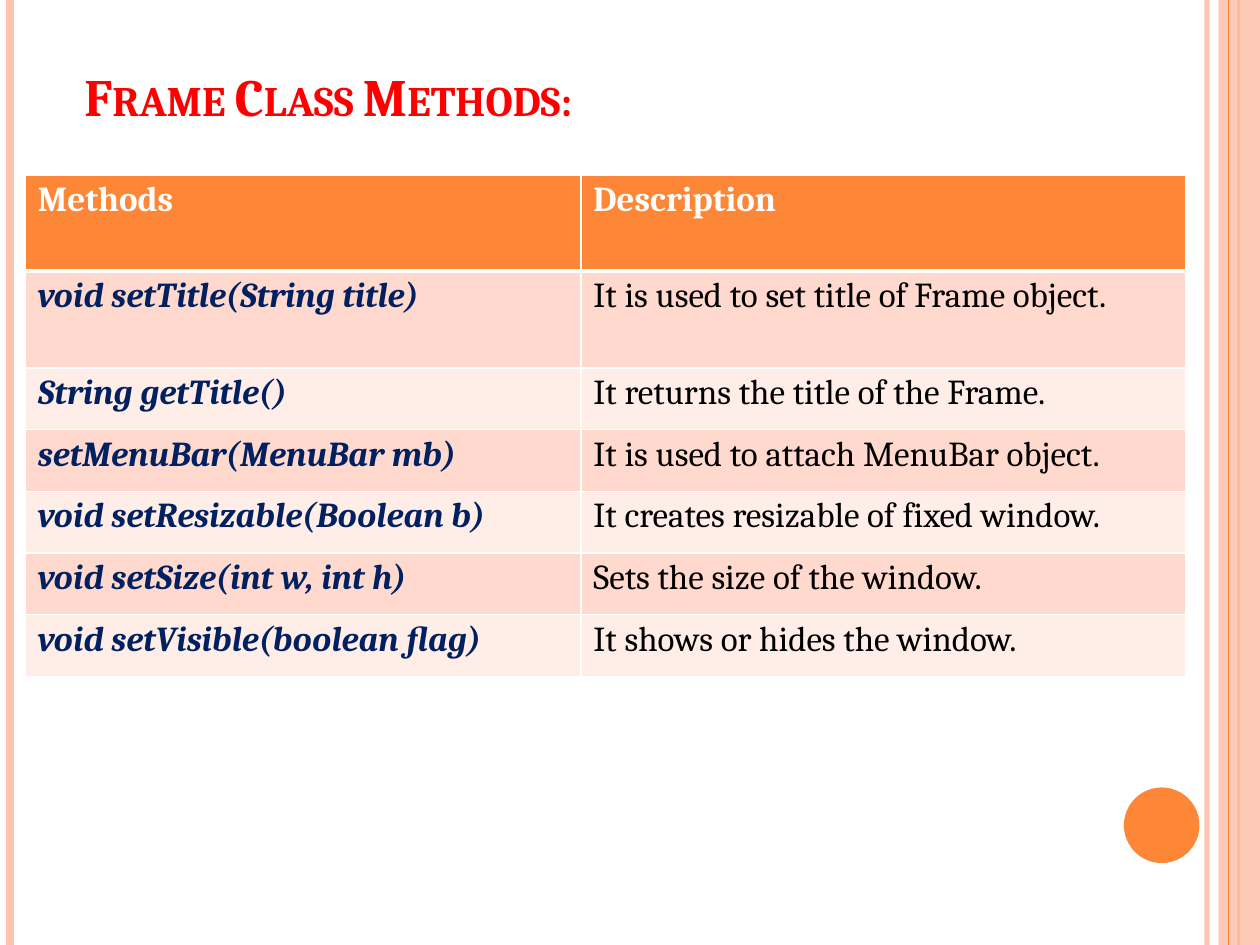
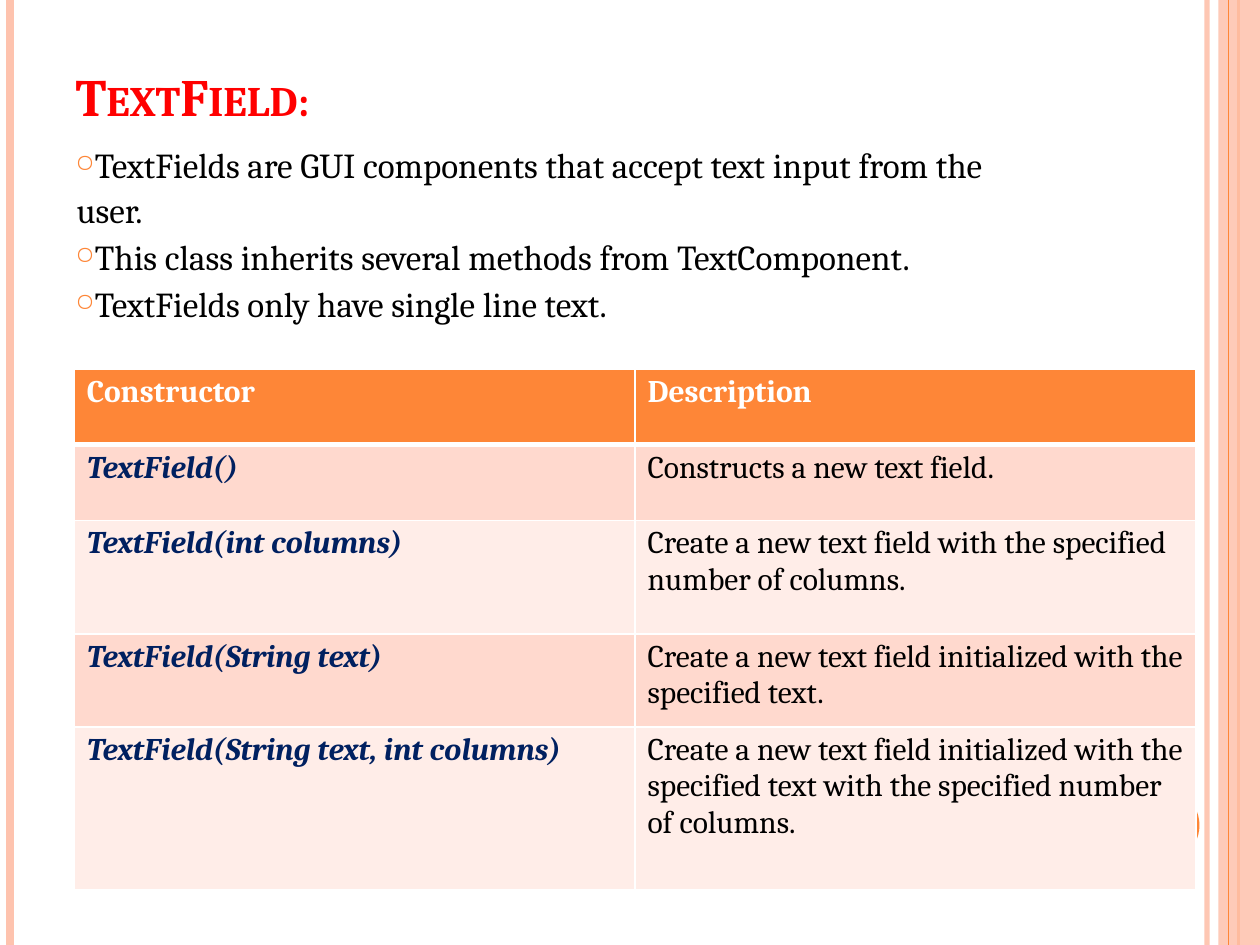
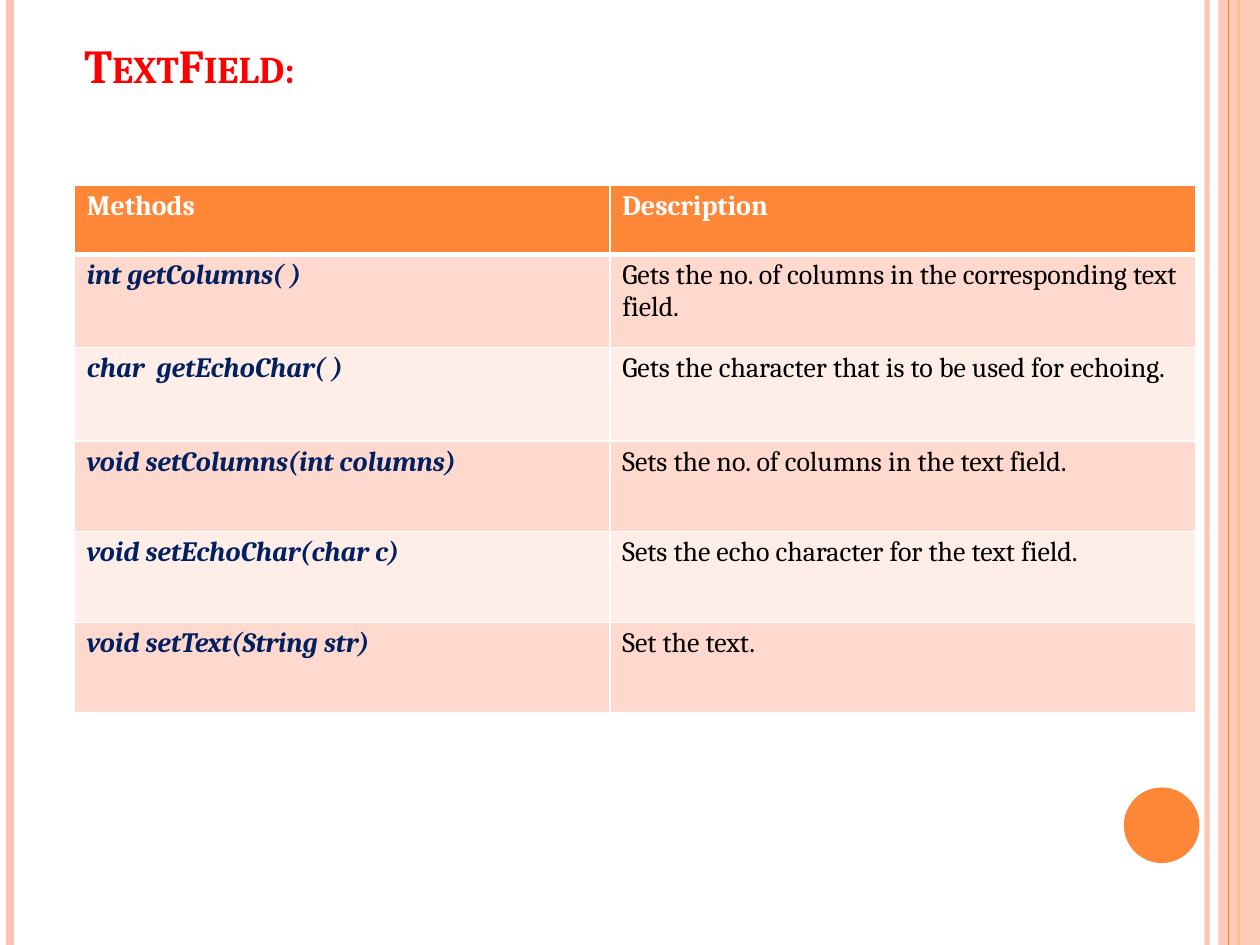
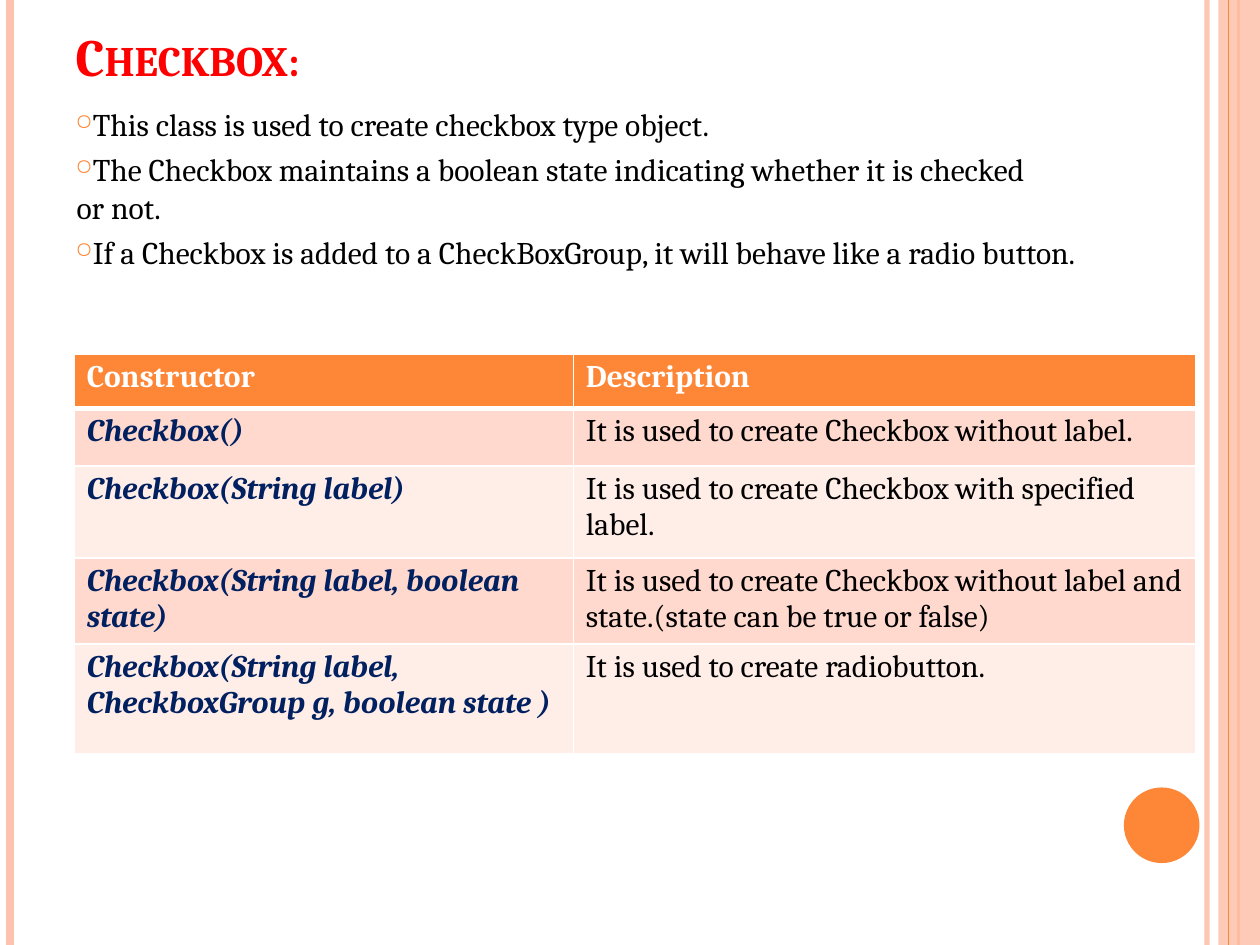
from lxml.etree import SubElement
from pptx import Presentation
from pptx.dml.color import RGBColor
from pptx.enum.shapes import MSO_CONNECTOR as CONNECTOR, MSO_SHAPE as SHAPE
from pptx.enum.text import MSO_ANCHOR as ANCHOR, MSO_AUTO_SIZE as AUTO_SIZE, PP_ALIGN as ALIGN
from pptx.oxml import parse_xml
from pptx.oxml.ns import nsdecls, qn
from pptx.util import Inches, Pt

ORANGE = RGBColor(0xFE, 0x86, 0x37)
PEACH = RGBColor(0xFE, 0xC3, 0xAE)
BAND_DARK = RGBColor(0xFF, 0xD9, 0xCE)
BAND_LIGHT = RGBColor(0xFF, 0xED, 0xE8)
NAVY = RGBColor(0x00, 0x20, 0x60)
RED = RGBColor(0xFF, 0x00, 0x00)
BLACK = RGBColor(0x00, 0x00, 0x00)
WHITE = RGBColor(0xFF, 0xFF, 0xFF)
FONT = "Cambria"
SLIDE_WIDTH, SLIDE_HEIGHT = 10, 7.5


def style_font(font, size, color, bold=False, italic=False):
    font.name = FONT
    font.size = Pt(size)
    font.color.rgb = color
    font.bold = bold
    font.italic = italic


def set_opacity(shape, percent):
    color = next(shape.element.spPr.iter(qn("a:srgbClr")))
    SubElement(color, qn("a:alpha"), val=str(percent * 1000))


def add_stripe(slide, x, color, width):
    stripe = slide.shapes.add_connector(
        CONNECTOR.STRAIGHT, Inches(x), 0, Inches(x), Inches(SLIDE_HEIGHT))
    stripe.line.color.rgb = color
    stripe.line.width = Pt(width)
    SubElement(stripe.element.spPr, qn("a:effectLst"))
    return stripe


def add_plain_shape(slide, kind, box, color):
    shape = slide.shapes.add_shape(kind, *map(Inches, box))
    shape.shadow.inherit = False
    shape.fill.solid()
    shape.fill.fore_color.rgb = color
    shape.line.fill.background()
    return shape


def decorate_layout(layout, slide):
    for placeholder in list(layout.placeholders):
        if placeholder.placeholder_format.idx != 0:
            layout.shapes.element.remove(placeholder.element)
    inner_stripe = add_stripe(slide, 9.58, PEACH, 3)
    set_opacity(inner_stripe, 93)
    left_stripe = add_stripe(slide, 0.08, PEACH, 4.5)
    band_stripe = add_stripe(slide, 9.75, ORANGE, 1.5)
    band_stripe.left = Inches(9.83)
    side_band = add_plain_shape(slide, SHAPE.RECTANGLE, (9.67, 0, 0.33, SLIDE_HEIGHT), PEACH)
    set_opacity(side_band, 87)
    thin_stripe = add_stripe(slide, 9.75, ORANGE, 0.75)
    number_disc = add_plain_shape(slide, SHAPE.OVAL, (8.92, 6.25, 0.6, 0.6), ORANGE)
    for shape in (inner_stripe, left_stripe, band_stripe, side_band, thin_stripe, number_disc):
        layout.shapes.element.append(shape.element)


def place_title(slide, text, box, size=30, left_inset=0.1):
    title = slide.shapes.title
    title.left, title.top, title.width, title.height = map(Inches, box)
    frame = title.text_frame
    frame.text = text
    frame.word_wrap = True
    frame.auto_size = AUTO_SIZE.NONE
    frame.vertical_anchor = ANCHOR.BOTTOM
    frame.margin_left = Inches(left_inset)
    frame.margin_bottom = Inches(round(0.05 + 1.17 * size / 72, 2))
    paragraph = frame.paragraphs[0]
    paragraph.alignment = ALIGN.LEFT
    style_font(paragraph.font, size, RED, bold=True)
    paragraph.font._element.set("cap", "small")


def add_bullet(paragraph, right_indent):
    properties = paragraph._p.get_or_add_pPr()
    properties.set("marL", str(Inches(0.01)))
    properties.set("marR", str(Inches(right_indent)))
    properties.set("indent", str(Inches(-0.3)))
    color = SubElement(properties, qn("a:buClr"))
    SubElement(color, qn("a:srgbClr"), val=str(ORANGE))
    SubElement(properties, qn("a:buSzPct"), val="70000")
    SubElement(properties, qn("a:buChar"), char="○")


def add_bullets(slide, box, items, size, space_before, later_spacing=1.07):
    frame = slide.shapes.add_textbox(*map(Inches, box)).text_frame
    frame.word_wrap = True
    for index, (text, right_indent) in enumerate(items):
        paragraph = frame.add_paragraph() if index else frame.paragraphs[0]
        paragraph.text = text
        add_bullet(paragraph, right_indent)
        paragraph.line_spacing = later_spacing if index else 1.07
        if index:
            paragraph.space_before = Pt(space_before)
        style_font(paragraph.font, size, BLACK)


def set_borders(cell, top, bottom):
    properties = cell._tc.get_or_add_tcPr()
    sides = (("lnL", 1), ("lnR", 1), ("lnT", top), ("lnB", bottom))
    for position, (side, width) in enumerate(sides):
        properties.insert(position, parse_xml(
            f'<a:{side} {nsdecls("a")} w="{Pt(width)}"><a:solidFill>'
            f'<a:srgbClr val="{WHITE}"/></a:solidFill></a:{side}>'))


def fill_cell(cell, text, row, column, size):
    cell.text = text
    cell.margin_top = cell.margin_bottom = Inches(0.04)
    cell.fill.solid()
    font = cell.text_frame.paragraphs[0].font
    if row == 0:
        cell.fill.fore_color.rgb = ORANGE
        style_font(font, size, WHITE, bold=True)
    else:
        cell.fill.fore_color.rgb = BAND_DARK if row % 2 else BAND_LIGHT
        is_code = column == 0
        style_font(font, size, NAVY if is_code else BLACK, is_code, is_code)
    set_borders(cell, 3 if row == 1 else 1, 3 if row == 0 else 1)


def add_reference_table(slide, left, top, widths, heights, rows, size):
    table = slide.shapes.add_table(
        len(rows), len(widths), Inches(left), Inches(top),
        Inches(sum(widths)), Inches(sum(heights))).table
    for column, width in zip(table.columns, widths):
        column.width = Inches(width)
    for row, height in zip(table.rows, heights):
        row.height = Inches(height)
    for row, texts in enumerate(rows):
        for column, text in enumerate(texts):
            fill_cell(table.cell(row, column), text, row, column, size)


def build_frame_methods(slide):
    place_title(slide, "Frame Class Methods:", (0.5, 0.3, 8.17, 1.25), left_inset=0.17)
    add_reference_table(slide, 0.2, 1.39, (4.41, 4.8), [0.76, 0.77] + [0.49] * 5, [
        ("Methods", "Description"),
        ("void setTitle(String title)", "It is used to set title of Frame object."),
        ("String getTitle()", "It returns the title of the Frame."),
        ("setMenuBar(MenuBar mb)", "It is used to attach MenuBar object."),
        ("void setResizable(Boolean b)", "It creates resizable of fixed window."),
        ("void setSize(int w, int h)", "Sets the size of the window."),
        ("void setVisible(boolean flag)", "It shows or hides the window."),
    ], 20)


def build_text_field_constructors(slide):
    place_title(slide, "TextField:", (0.5, 0.3, 8.17, 1.25))
    add_bullets(slide, (0.5, 1.07, 8.67, 6.01), [
        ("TextFields are GUI components that accept text input from the user.", 1),
        ("This class inherits several methods from TextComponent.", 0),
        ("TextFields only have single line text.", 0),
    ], 20, 1)
    add_reference_table(slide, 0.59, 2.93, (4.45, 4.45), (0.6, 0.6, 0.9, 0.74, 1.29), [
        ("Constructor", "Description"),
        ("TextField()", "Constructs a new text field."),
        ("TextField(int columns)",
         "Create a new text field with the specified number of columns."),
        ("TextField(String text)",
         "Create a new text field initialized with the specified text."),
        ("TextField(String text, int columns)",
         "Create a new text field initialized with the specified text "
         "with the specified number of columns."),
    ], 18)


def build_text_field_methods(slide):
    place_title(slide, "TextField:", (0.5, 0.16, 8.17, 1.07), size=27, left_inset=0.17)
    add_reference_table(slide, 0.59, 1.47, (4.25, 4.65), [0.55, 0.74, 0.74] + [0.72] * 3, [
        ("Methods", "Description"),
        ("int getColumns( )", "Gets the no. of columns in the corresponding text field."),
        ("char  getEchoChar( )", "Gets the character that is to be used for echoing."),
        ("void setColumns(int columns)", "Sets the no. of columns in the text field."),
        ("void setEchoChar(char c)", "Sets the echo character for the text field."),
        ("void setText(String str)", "Set the text."),
    ], 16)


def build_checkbox(slide):
    place_title(slide, "Checkbox:", (0.5, 0, 8.17, 1.23))
    add_bullets(slide, (0.5, 0.76, 8.67, 6.32), [
        ("This class is used to create checkbox type object.", 0),
        ("The Checkbox maintains a boolean state indicating whether it is checked or not.", 0.78),
        ("If a Checkbox is added to a CheckBoxGroup, it will behave like a radio button.", 0),
    ], 18, 4.2, Pt(21.6))
    add_reference_table(slide, 0.59, 2.81, (3.96, 4.94), (0.43, 0.46, 0.73, 0.55, 0.87), [
        ("Constructor", "Description"),
        ("Checkbox()", "It is used to create Checkbox without label."),
        ("Checkbox(String label)", "It is used to create Checkbox with specified label."),
        ("Checkbox(String label, boolean state)",
         "It is used to create Checkbox without label and state.(state can be true or false)"),
        ("Checkbox(String label, CheckboxGroup g, boolean state )",
         "It is used to create radiobutton."),
    ], 18)


def main():
    presentation = Presentation()
    presentation.slide_width = Inches(SLIDE_WIDTH)
    presentation.slide_height = Inches(SLIDE_HEIGHT)
    layout = presentation.slide_layouts.get_by_name("Title Only")
    builders = (build_frame_methods, build_text_field_constructors,
                build_text_field_methods, build_checkbox)
    slides = [presentation.slides.add_slide(layout) for _ in builders]
    decorate_layout(layout, slides[0])
    for build, slide in zip(builders, slides):
        build(slide)
    presentation.save("out.pptx")


if __name__ == "__main__":
    main()
